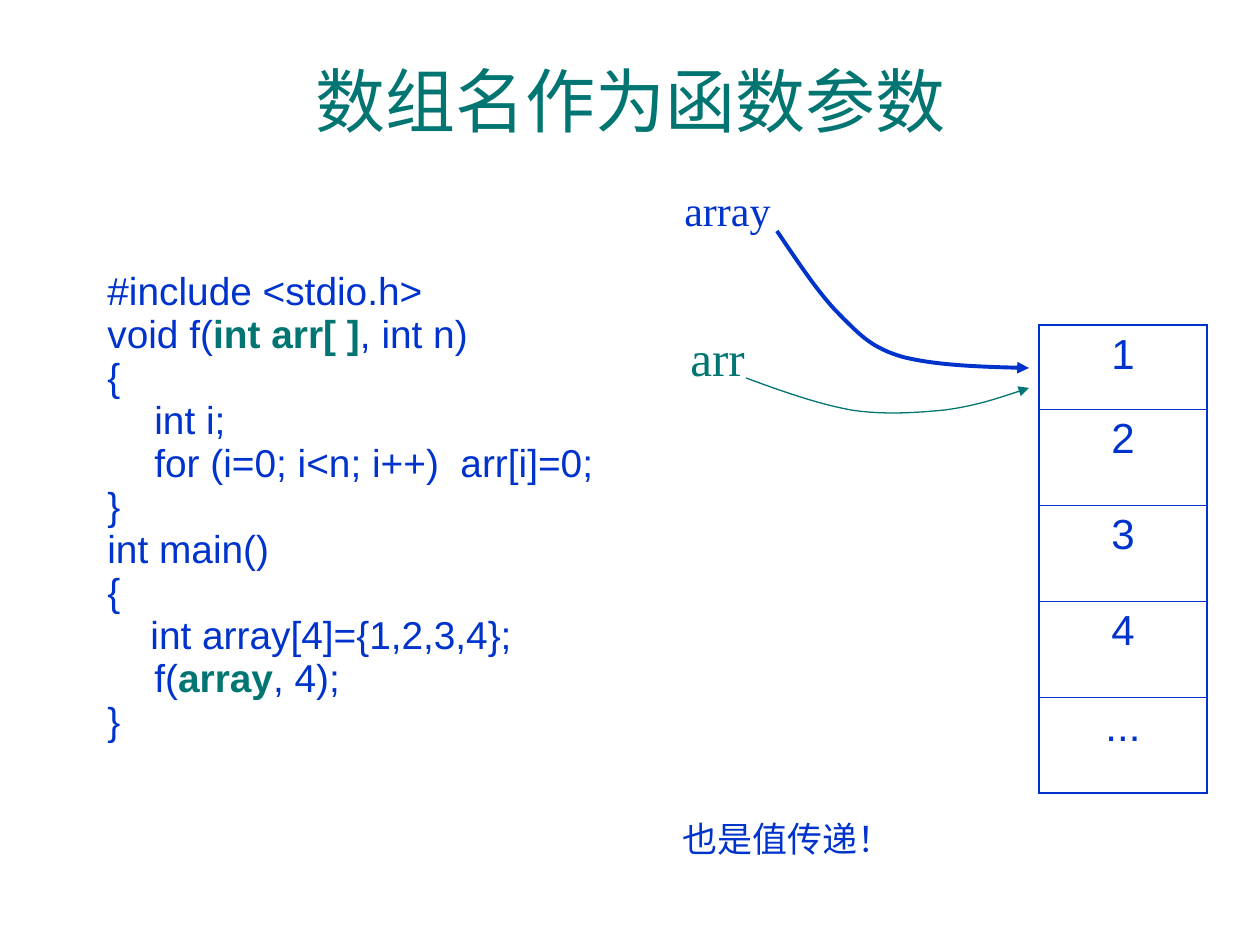
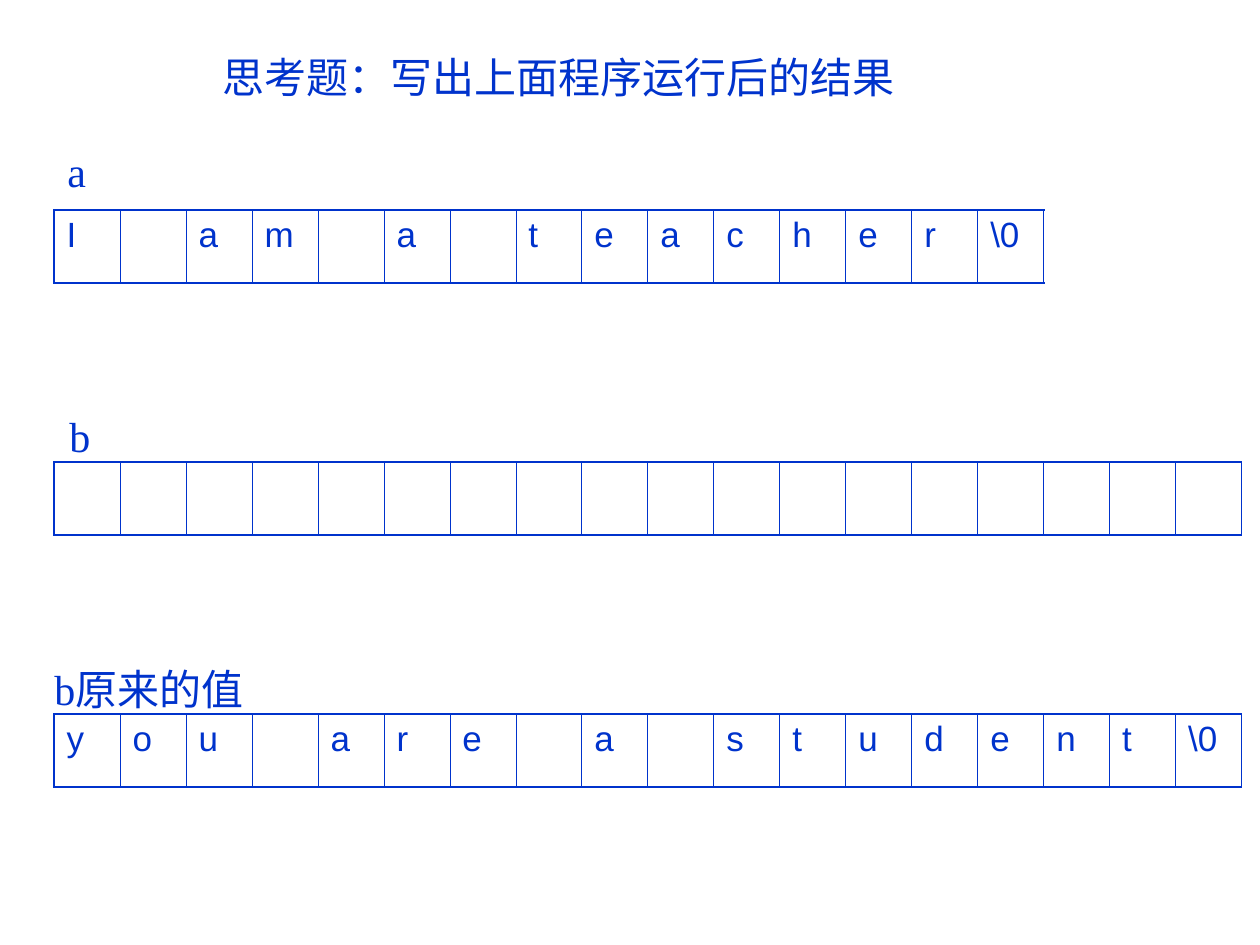
from lxml import etree
from pptx import Presentation
from pptx.dml.color import RGBColor
from pptx.enum.text import MSO_ANCHOR, MSO_AUTO_SIZE, PP_ALIGN
from pptx.oxml.ns import qn
from pptx.util import Emu, Pt

PX = 914400 / 126
BLUE = RGBColor(0x00, 0x33, 0xCC)
TEAL = RGBColor(0x00, 0x75, 0x72)
SANS, SERIF = "Arial", "Times New Roman"
LEFT, CENTER = PP_ALIGN.LEFT, PP_ALIGN.CENTER
TOP, MIDDLE = MSO_ANCHOR.TOP, MSO_ANCHOR.MIDDLE
FIT_SHAPE = MSO_AUTO_SIZE.SHAPE_TO_FIT_TEXT
OUTER_LINE, INNER_LINE = Pt(1.08), Pt(0.45)
TITLE_ONLY = 5
CELL_W, CELL_H, STRIP_X = 66, 73, 54

# Each line is a list of (text, emphasised) runs.
CODE = [
    [("#include <stdio.h>", False)],
    [("void f(", False), ("int arr[ ]", True), (", int n)", False)],
    [("{", False)],
    [("\tint i;", False)],
    [("\tfor (i=0; i<n; i++)  arr[i]=0;", False)],
    [("}", False)],
    [("int main()", False)],
    [("{", False)],
    [("    int array[4]={1,2,3,4};", False)],
    [("\tf(", False), ("array", True), (", 4);", False)],
    [("}", False)],
]


def px(n):
    return Emu(round(n * PX))


def add_run(p, text, size, font, color, bold=False):
    r = p.add_run()
    r.text = text
    r.font.size = Pt(size)
    r.font.name = font
    r.font.color.rgb = color
    r.font.bold = bold


def set_title(s, text, box, size, font, color, align, anchor):
    sp = s.shapes.title
    sp.left, sp.top, sp.width, sp.height = map(px, box)
    tf = sp.text_frame
    tf.word_wrap = True
    tf.vertical_anchor = anchor
    p = tf.paragraphs[0]
    p.alignment = align
    add_run(p, text, size, font, color)


def add_label(s, text, x, y, w, h=63, size=24, color=BLUE):
    tf = s.shapes.add_textbox(*map(px, (x, y, w, h))).text_frame
    tf.word_wrap = False
    tf.auto_size = FIT_SHAPE
    add_run(tf.paragraphs[0], text, size, SERIF, color)


def add_code(s, lines, box):
    tf = s.shapes.add_textbox(*map(px, box)).text_frame
    tf.word_wrap = True
    for i, line in enumerate(lines):
        p = tf.add_paragraph() if i else tf.paragraphs[0]
        p.line_spacing = 0.75
        p.space_before = Pt(4.6 if i else 0)
        pPr = p._p.get_or_add_pPr()
        pPr.set("marL", str(px(47)))
        pPr.set("indent", str(px(-47)))
        for text, strong in line:
            add_run(p, text, 22.2, SANS, TEAL if strong else BLUE, strong)


def set_borders(cell, widths):
    """Draw cell borders; widths are in the order left, right, top, bottom."""
    tcPr = cell._tc.get_or_add_tcPr()
    for i, (side, width) in enumerate(zip("LRTB", widths)):
        ln = etree.Element(qn(f"a:ln{side}"), w=str(width))
        fill = etree.SubElement(ln, qn("a:solidFill"))
        etree.SubElement(fill, qn("a:srgbClr"), val=str(BLUE))
        tcPr.insert(i, ln)


def add_array(s, x, y, rows, col_width, row_heights, size, align=LEFT):
    """Draw memory cells as a table; blank values stay empty."""
    n_rows, n_cols = len(rows), len(rows[0])
    table = s.shapes.add_table(n_rows, n_cols, px(x), px(y),
                               px(col_width * n_cols),
                               px(sum(row_heights))).table
    table.first_row = table.horz_banding = False
    for col in table.columns:
        col.width = px(col_width)
    for i, row in enumerate(rows):
        table.rows[i].height = px(row_heights[i])
        for j, value in enumerate(row):
            cell = table.cell(i, j)
            cell.fill.background()
            on_edge = (j == 0, j == n_cols - 1, i == 0, i == n_rows - 1)
            set_borders(cell, [OUTER_LINE if e else INNER_LINE
                               for e in on_edge])
            p = cell.text_frame.paragraphs[0]
            p.alignment = align
            if value.strip():
                add_run(p, value, size, SANS, BLUE)


def add_strip(s, y, values):
    add_array(s, STRIP_X, y, [values], CELL_W, [CELL_H], 20)


def add_curved_arrow(s, start, points, color, width):
    """Draw a Bezier arrow; points hold two controls and an end per curve."""
    builder = s.shapes.build_freeform(*start, scale=PX)
    builder.add_line_segments(points, close=False)
    sp = builder.convert_to_shape()
    sp.shadow.inherit = False
    sp.fill.background()
    sp.line.color.rgb = color
    sp.line.width = Pt(width)
    etree.SubElement(sp.line._get_or_add_ln(), qn("a:tailEnd"),
                     type="triangle")
    segments = list(sp._element.iter(qn("a:lnTo")))
    for i in range(0, len(segments), 3):
        curve = etree.Element(qn("a:cubicBezTo"))
        segments[i].addprevious(curve)
        for segment in segments[i:i + 3]:
            curve.append(segment[0])
            segment.getparent().remove(segment)


def build_parameter_slide(prs):
    s = prs.slides.add_slide(prs.slide_layouts[TITLE_ONLY])
    set_title(s, "数组名作为函数参数", (95, 21, 1071, 158), 40, SANS, TEAL,
              CENTER, MIDDLE)
    add_code(s, CODE, (95, 271, 724, 490))
    add_array(s, 1039, 325, [["1"], ["2"], ["3"], ["4"], ["..."]],
              168, [84] + [96] * 4, 24, CENTER)
    add_label(s, "array", 672, 178, 111)
    add_curved_arrow(s, (777, 231), [
        (798, 262), (819, 294), (840, 315),
        (861, 336), (872, 348), (903, 357),
        (935, 365), (982, 367), (1029, 368)], BLUE, 2.25)
    add_label(s, "arr", 678, 321, 80, 72, 28, TEAL)
    add_curved_arrow(s, (746, 378), [
        (781, 391), (818, 404), (851, 410),
        (883, 415), (915, 413), (945, 410),
        (975, 406), (1002, 397), (1029, 388)], TEAL, 0.75)
    add_label(s, "也是值传递！", 670, 811, 236, 55, 20)


def build_exercise_slide(prs):
    s = prs.slides.add_slide(prs.slide_layouts[TITLE_ONLY])
    set_title(s, "思考题：写出上面程序运行后的结果", (210, 45, 720, 63), 24,
              SERIF, BLUE, LEFT, TOP)
    add_label(s, "a", 55, 139, 44)
    add_strip(s, 210, [*"I am a teacher", "\\0"])
    add_label(s, "b", 57, 404, 45)
    add_strip(s, 462, [""] * 18)
    add_label(s, "b原来的值", 42, 657, 224)
    add_strip(s, 714, [*"you are a student", "\\0"])


def main():
    prs = Presentation()
    prs.slide_width, prs.slide_height = px(1260), px(945)
    build_parameter_slide(prs)
    build_exercise_slide(prs)
    prs.save("out.pptx")


if __name__ == "__main__":
    main()
